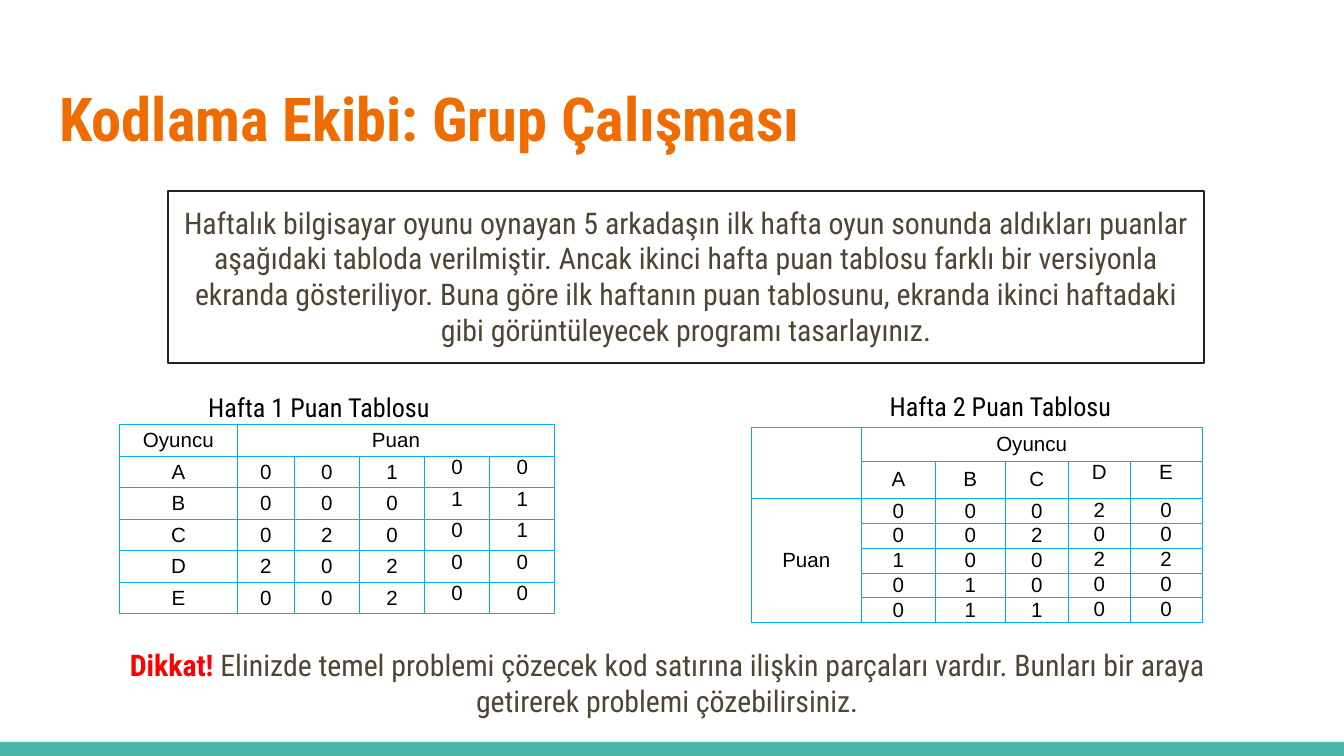
from dataclasses import dataclass
from lxml.etree import SubElement
from pptx import Presentation
from pptx.dml.color import RGBColor
from pptx.enum.shapes import MSO_SHAPE
from pptx.enum.text import MSO_ANCHOR, MSO_AUTO_SIZE, PP_ALIGN
from pptx.oxml.ns import qn
from pptx.util import Emu, Pt

EMU_PER_PX = 4572


@dataclass(frozen=True)
class Theme:
    heading_font: str = "Roboto Condensed"
    table_font: str = "Arial"
    orange: str = "EF6C00"
    brown: str = "4E4534"
    black: str = "000000"
    red: str = "FF0000"
    frame: str = "222222"
    teal: str = "4DB6AC"
    grid: str = "00B0F0"
    title_size: float = 32.4
    body_size: float = 16
    label_size: float = 14
    cell_size: float = 11


@dataclass(frozen=True)
class Box:
    x: int
    y: int
    w: int
    h: int


@dataclass(frozen=True)
class ScoreTable:
    label: str
    label_box: Box
    x: int
    y: int
    cols: list[int]
    rows: list[int]
    cells: list[list[str]]
    merges: list[tuple[int, int, int, int]]


THEME = Theme()

TABLES = [
    ScoreTable(
        "Hafta 1 Puan Tablosu", Box(290, 556, 724, 170), 178, 632,
        [175, 85] + [97] * 4, [47] * 6,
        [["Oyuncu", "Puan", "", "", "", ""]]
        + [list(row) for row in ("A00100", "B00011", "C02001", "D20200", "E00200")],
        [(0, 1, 0, 5)],
    ),
    ScoreTable(
        "Hafta 2 Puan Tablosu", Box(1304, 554, 724, 170), 1118, 636,
        [164, 110, 104, 94, 92, 107], [50, 56] + [37] * 5,
        [["", "Oyuncu", "", "", "", ""], ["", *"ABCDE"], ["Puan", *"00020"]]
        + [["", *row] for row in ("00200", "10022", "01000", "01100")],
        [(0, 0, 1, 0), (0, 1, 0, 5), (2, 0, 6, 0)],
    ),
]


def px(n: int) -> Emu:
    return Emu(n * EMU_PER_PX)


def place(box: Box) -> tuple[Emu, Emu, Emu, Emu]:
    return px(box.x), px(box.y), px(box.w), px(box.h)


def add_text(p, text: str, *, size: float, color: str,
             font: str = THEME.heading_font, bold: bool = False,
             align=PP_ALIGN.CENTER, spacing: float | None = None) -> None:
    p.alignment = align
    if spacing:
        p.line_spacing = spacing
    r = p.add_run()
    r.text = text
    r.font.name = font
    r.font.size = Pt(size)
    r.font.bold = bold
    r.font.color.rgb = RGBColor.from_string(color)


def set_frame(tf, anchor=MSO_ANCHOR.TOP) -> None:
    tf.word_wrap = True
    tf.auto_size = MSO_AUTO_SIZE.NONE
    tf.vertical_anchor = anchor
    tf.margin_left = tf.margin_right = tf.margin_top = tf.margin_bottom = px(20)


def add_text_box(s, box: Box):
    tf = s.shapes.add_textbox(*place(box)).text_frame
    set_frame(tf)
    return tf.paragraphs[0]


def add_rect(s, box: Box, fill: str | None = None, line: str | None = None):
    sp = s.shapes.add_shape(MSO_SHAPE.RECTANGLE, *place(box))
    sp.shadow.inherit = False
    if fill:
        sp.fill.solid()
        sp.fill.fore_color.rgb = RGBColor.from_string(fill)
    else:
        sp.fill.background()
    if line:
        sp.line.color.rgb = RGBColor.from_string(line)
        sp.line.width = Pt(0.75)
    else:
        sp.line.fill.background()
    return sp


def set_borders(cell, color: str) -> None:
    pr = cell._tc.get_or_add_tcPr()
    for i, side in enumerate(("lnL", "lnR", "lnT", "lnB")):
        ln = pr.makeelement(qn(f"a:{side}"), {"w": str(Pt(0.5))})
        fill = SubElement(ln, qn("a:solidFill"))
        SubElement(fill, qn("a:srgbClr"), val=color)
        pr.insert(i, ln)


def format_cell(cell, text: str, anchor) -> None:
    cell.margin_left = cell.margin_right = px(14)
    cell.margin_top = cell.margin_bottom = 0
    cell.vertical_anchor = anchor
    cell.fill.background()
    set_borders(cell, THEME.grid)
    p = cell.text_frame.paragraphs[0]
    if text:
        add_text(p, text, size=THEME.cell_size, color=THEME.black, font=THEME.table_font)
    else:
        SubElement(p._p, qn("a:endParaRPr"), sz=str(THEME.cell_size * 100))


def add_score_table(s, spec: ScoreTable) -> None:
    add_text(add_text_box(s, spec.label_box), spec.label, size=THEME.label_size,
             color=THEME.black, align=PP_ALIGN.JUSTIFY, spacing=1.15)
    box = Box(spec.x, spec.y, sum(spec.cols), sum(spec.rows))
    table = s.shapes.add_table(len(spec.rows), len(spec.cols), *place(box)).table
    table.first_row = table.horz_banding = False
    for col, width in zip(table.columns, spec.cols):
        col.width = px(width)
    for row, height in zip(table.rows, spec.rows):
        row.height = px(height)
    for i, row in enumerate(spec.cells):
        for j, text in enumerate(row):
            anchor = MSO_ANCHOR.MIDDLE if j < 4 else MSO_ANCHOR.TOP
            format_cell(table.cell(i, j), text, anchor)
    for top, left, bottom, right in spec.merges:
        table.cell(top, left).merge(table.cell(bottom, right))


def main() -> None:
    prs = Presentation()
    prs.slide_width, prs.slide_height = px(2000), px(1125)
    s = prs.slides.add_slide(prs.slide_layouts[5])
    add_rect(s, Box(0, 1104, 2000, 21), fill=THEME.teal)

    title = s.shapes.title
    title.left, title.top, title.width, title.height = place(Box(68, 98, 1864, 154))
    set_frame(title.text_frame, MSO_ANCHOR.MIDDLE)
    add_text(title.text_frame.paragraphs[0], "Kodlama Ekibi: Grup Çalışması",
             size=THEME.title_size, color=THEME.orange, bold=True, align=PP_ALIGN.LEFT)

    task = add_rect(s, Box(250, 284, 1542, 256), line=THEME.frame)
    set_frame(task.text_frame)
    add_text(
        task.text_frame.paragraphs[0],
        "Haftalık bilgisayar oyunu oynayan 5 arkadaşın ilk hafta oyun sonunda "
        "aldıkları puanlar aşağıdaki tabloda verilmiştir. Ancak ikinci hafta puan "
        "tablosu farklı bir versiyonla ekranda gösteriliyor. Buna göre ilk haftanın "
        "puan tablosunu, ekranda ikinci haftadaki gibi görüntüleyecek programı "
        "tasarlayınız.",
        size=THEME.body_size, color=THEME.brown)

    for spec in TABLES:
        add_score_table(s, spec)

    p = add_text_box(s, Box(170, 942, 1646, 180))
    add_text(p, "Dikkat!", size=THEME.body_size, color=THEME.red, bold=True)
    add_text(p, " Elinizde temel problemi çözecek kod satırına ilişkin parçaları vardır. "
                "Bunları bir araya getirerek problemi çözebilirsiniz.",
             size=THEME.body_size, color=THEME.brown)
    prs.save("out.pptx")


if __name__ == "__main__":
    main()
